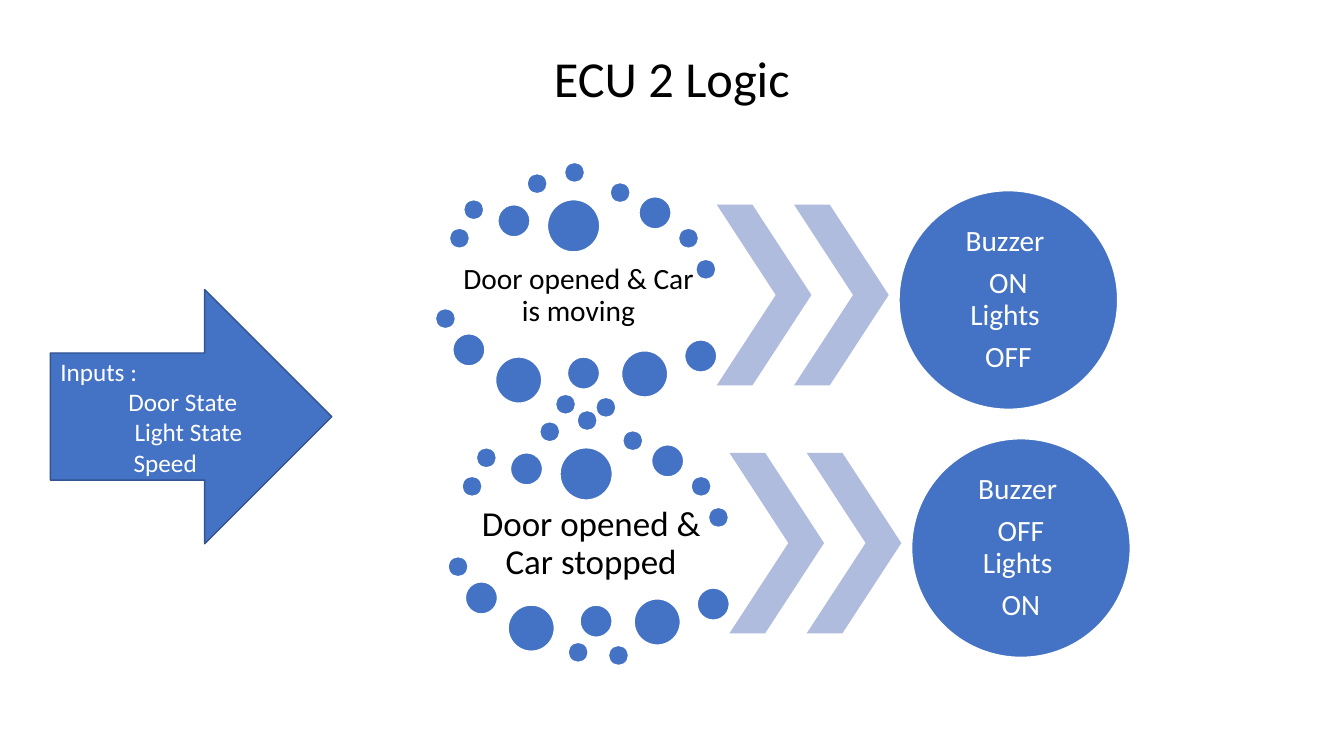
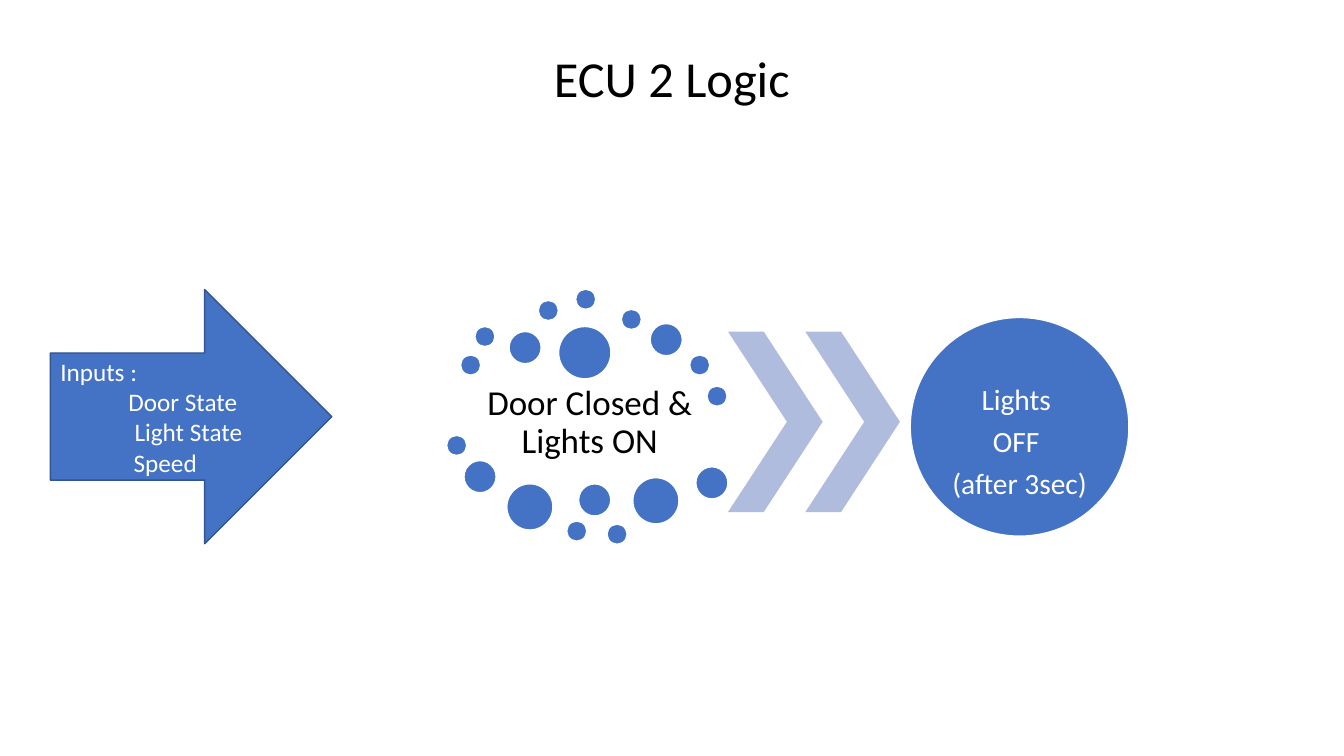
from pptx import Presentation
from pptx.dml.color import RGBColor
from pptx.enum.shapes import MSO_SHAPE
from pptx.enum.text import MSO_ANCHOR, MSO_AUTO_SIZE, PP_ALIGN
from pptx.util import Pt

BLUE, PALE_BLUE, DARK_BLUE = "4472C4", "B0BCDE", "325491"
WHITE, BLACK = "FFFFFF", "000000"
FONT = "Calibri"

# Dots around a condition: x and y from the cluster's corner, diameter
SMALL, MEDIUM, LARGE, LARGEST = 14.4, 23, 33, 37.4
DOTS = [
    (10, 47, SMALL), (20.2, 26.6, SMALL), (44.6, 30.2, MEDIUM),
    (65.5, 8, SMALL), (92.2, 0, SMALL), (124.8, 14.4, SMALL),
    (145.4, 24.5, MEDIUM), (173.6, 47, SMALL), (186, 69.2, SMALL),
    (80, 26.6, LARGEST), (0, 104.4, SMALL), (12.4, 122.4, MEDIUM),
    (43, 139, LARGE), (85.8, 165.6, SMALL), (94.3, 139, MEDIUM),
    (114.6, 167.8, SMALL), (133, 134.6, LARGE), (178, 126.8, MEDIUM),
]

# Inputs with their left indents
INPUTS = [("Inputs :", 0), ("Door State", 48.6),
          ("Light State", 53), ("Speed", 52.4)]

# Each rule: cluster corner, condition, its size, outcome, space above outcome
SLIDES = [
    [
        (311, 116, "Door opened & Car is moving", 21,
         [["Buzzer "], ["ON", "Lights "], ["OFF"]], 0),
        (320, 293.2, "Door opened & Car stopped", 25,
         [["Buzzer "], ["OFF", "Lights "], ["ON"]], 0),
    ],
    [
        (319, 206.6, "Door Closed & Lights ON", 25,
         [["Lights "], ["OFF "], ["(after 3sec)"]], 22.8),
    ],
]


def add_filled(slide, preset, box, fill, outline=None):
    """Add a flat preset shape; box is left, top, width, height in points."""
    shape = slide.shapes.add_shape(preset, *[Pt(length) for length in box])
    shape.shadow.inherit = False
    shape.fill.solid()
    shape.fill.fore_color.rgb = RGBColor.from_string(fill)
    if outline:
        shape.line.color.rgb = RGBColor.from_string(outline)
        shape.line.width = Pt(1)
    else:
        shape.line.fill.background()
    return shape


def write(frame, paragraphs, size, color, align=PP_ALIGN.CENTER, spaced=False):
    """Fill a text frame; each paragraph is a list of lines."""
    frame.word_wrap = True
    for number, lines in enumerate(paragraphs):
        paragraph = frame.add_paragraph() if number else frame.paragraphs[0]
        paragraph.alignment = align
        if spaced:
            paragraph.line_spacing = 0.9
            paragraph.space_after = Pt(0.35 * size)
        for line_number, line in enumerate(lines):
            if line_number:
                paragraph.add_line_break()
            run = paragraph.add_run()
            run.text = line
            run.font.name = FONT
            run.font.size = Pt(size)
            run.font.color.rgb = RGBColor.from_string(color)


deck = Presentation()
deck.slide_width, deck.slide_height = Pt(960), Pt(540)
title_only = deck.slide_layouts[5]

for rules in SLIDES:
    slide = deck.slides.add_slide(title_only)

    title = slide.shapes.title
    title.left, title.top, title.width, title.height = Pt(372.2), Pt(30.2), Pt(215.4), Pt(51)
    title.text_frame.auto_size = MSO_AUTO_SIZE.NONE
    title.text_frame.vertical_anchor = MSO_ANCHOR.TOP
    write(title.text_frame, [["ECU 2 Logic"]], 36, BLACK)

    inputs = add_filled(slide, MSO_SHAPE.RIGHT_ARROW, (36, 206.8, 201, 181.6), BLUE, DARK_BLUE)
    inputs.text_frame.vertical_anchor = MSO_ANCHOR.MIDDLE
    write(inputs.text_frame, [[name] for name, _ in INPUTS], 18, WHITE, PP_ALIGN.LEFT)
    for paragraph, (_, indent) in zip(inputs.text_frame.paragraphs, INPUTS):
        properties = paragraph._p.get_or_add_pPr()
        properties.set("marL", str(int(Pt(indent))))
        properties.set("indent", "0")

    for left, top, condition, condition_size, outcome, space_above in rules:
        label = slide.shapes.add_textbox(Pt(left + 10.4), Pt(top + 65.4), Pt(183.6), Pt(60.4))
        frame = label.text_frame
        frame.margin_left = frame.margin_right = Pt(2.2)
        frame.margin_top = frame.margin_bottom = Pt(2.2)
        frame.vertical_anchor = MSO_ANCHOR.MIDDLE
        write(frame, [[condition]], condition_size, BLACK, spaced=True)

        for x, y, diameter in DOTS:
            add_filled(slide, MSO_SHAPE.OVAL, (left + x, top + y, diameter, diameter), BLUE, WHITE)

        for step in range(2):
            chevron = add_filled(slide, MSO_SHAPE.CHEVRON,
                                 (left + 201 + 55.2 * step, top + 30.2, 67.6, 129), PALE_BLUE)
            chevron.adjustments[0] = 0.623

        result = add_filled(slide, MSO_SHAPE.OVAL, (left + 331.2, top + 20.2, 156.2, 156.2),
                            BLUE, WHITE)
        frame = result.text_frame
        frame.margin_left = frame.margin_right = frame.margin_bottom = 0
        frame.margin_top = Pt(space_above)
        frame.vertical_anchor = MSO_ANCHOR.MIDDLE
        write(frame, outcome, 21, WHITE, spaced=True)

deck.save("out.pptx")
